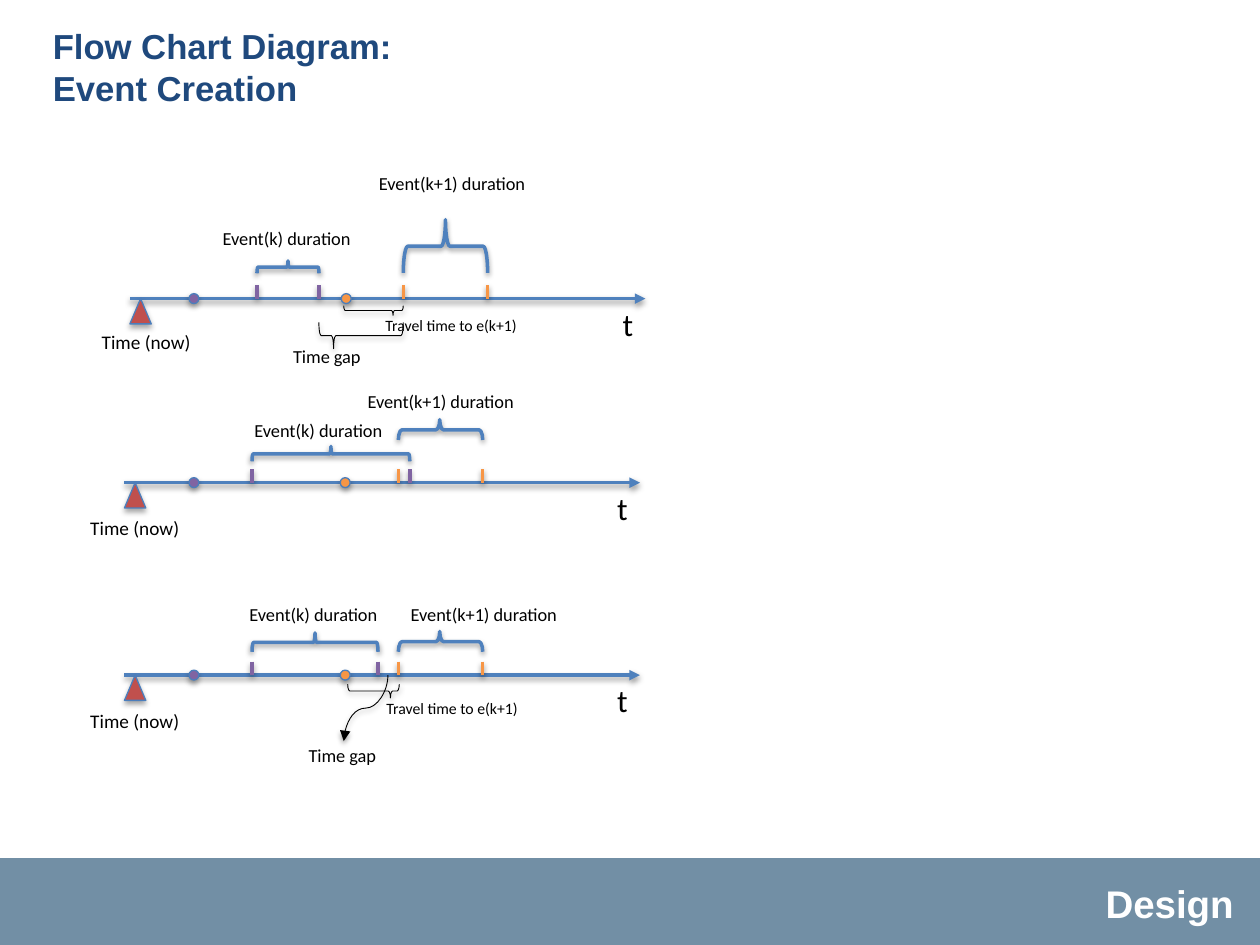
from dataclasses import dataclass

from lxml.etree import SubElement
from pptx import Presentation
from pptx.dml.color import RGBColor
from pptx.enum.shapes import MSO_CONNECTOR, MSO_SHAPE
from pptx.enum.text import MSO_ANCHOR, PP_ALIGN
from pptx.oxml.ns import qn
from pptx.util import Cm, Pt


@dataclass(frozen=True)
class Theme:
    title: str = "1F497D"
    band: str = "728FA5"
    white: str = "FFFFFF"
    ink: str = "000000"
    axis: str = "4F81BD"
    outline: str = "4B7EBC"
    now: str = "C0504D"
    event: str = "8064A2"
    next_event: str = "F79646"
    heading_font: str = "Arial"
    body_font: str = "Calibri"
    title_size: float = 19.8
    section_size: float = 22
    axis_size: float = 18
    now_size: float = 11
    label_size: float = 10.5
    small_size: float = 9
    heavy: float = 2
    thin: float = 0.75
    hairline: float = 0.5


THEME = Theme()
AXIS_LENGTH = 10.39
TICK_HEIGHT = 0.27
DOT_SIZE = 0.2
NOW_DOT_X = 3.91
NEXT_BRACE = (0.182, 0.51)
TRAVEL_BRACE = (0.155, 0.829)
GAP_BRACE = (0.083, 0.174)


@dataclass(frozen=True)
class Timeline:
    """One scenario; all lengths in centimetres."""
    x: float
    y: float
    now_label: tuple      # left, top
    event: tuple          # start, end
    next_event: tuple     # start, end
    departure: float      # centre of the orange dot
    event_brace: tuple    # top, height
    next_brace: tuple     # top, height, adjustments
    event_label: tuple    # left, top
    next_label: tuple     # left, top


TIMELINES = (
    Timeline(2.62, 6.02, (1.8, 6.53), (5.18, 6.43), (8.13, 9.83), 6.98,
             (5.26, 0.25), (4.43, 1.07, ()), (4.24, 4.45), (7.39, 3.35)),
    Timeline(2.51, 9.73, (1.57, 10.29), (5.08, 8.26), (8.03, 9.73), 6.96,
             (9.0, 0.3), (8.46, 0.41, NEXT_BRACE), (4.88, 8.33), (7.16, 7.75)),
    Timeline(2.51, 13.61, (1.57, 14.17), (5.08, 7.62), (8.03, 9.73), 6.96,
             (12.76, 0.38), (12.73, 0.41, NEXT_BRACE), (4.78, 12.04), (8.03, 12.04)),
)


def rgb(value):
    return RGBColor.from_string(value)


def cast_shadow(shape, opacity=38, distance=1.6):
    effects = SubElement(shape._element.spPr, qn("a:effectLst"))
    shadow = SubElement(effects, qn("a:outerShdw"), blurRad=str(Pt(3.1)),
                        dist=str(Pt(distance)), dir="5400000", rotWithShape="0")
    color = SubElement(shadow, qn("a:srgbClr"), val=THEME.ink)
    SubElement(color, qn("a:alpha"), val=str(opacity * 1000))


def style_text(frame, size, color, font, bold=False):
    for paragraph in frame.paragraphs:
        for run in paragraph.runs:
            run.font.size = Pt(size)
            run.font.name = font
            run.font.bold = bold
            run.font.color.rgb = rgb(color)


def add_label(slide, text, left, top, width, height=0.71, size=THEME.label_size):
    label = slide.shapes.add_textbox(Cm(left), Cm(top), Cm(width), Cm(height))
    label.text_frame.word_wrap = False
    label.text_frame.text = text
    style_text(label.text_frame, size, THEME.ink, THEME.body_font)


def add_line(slide, start, end, color, weight, arrow=False, kind=MSO_CONNECTOR.STRAIGHT):
    line = slide.shapes.add_connector(kind, *map(Cm, start + end))
    line.line.color.rgb = rgb(color)
    line.line.width = Pt(weight)
    if arrow:
        SubElement(line.line._ln, qn("a:tailEnd"), type="triangle")
    cast_shadow(line)
    return line


def add_marker(slide, shape_type, left, top, width, height, color):
    marker = slide.shapes.add_shape(shape_type, Cm(left), Cm(top), Cm(width), Cm(height))
    marker.fill.solid()
    marker.fill.fore_color.rgb = rgb(color)
    marker.line.color.rgb = rgb(THEME.outline)
    marker.line.width = Pt(THEME.thin)
    cast_shadow(marker, 35, 1.8)


def add_dot(slide, center_x, center_y, color):
    add_marker(slide, MSO_SHAPE.OVAL, center_x - DOT_SIZE / 2, center_y - DOT_SIZE / 2,
               DOT_SIZE, DOT_SIZE, color)


def add_brace(slide, span, top, height, adjustments=(), below=False):
    """Turn a left brace so that it covers the span, pointing up or down."""
    start, end = span
    width = end - start
    brace = slide.shapes.add_shape(
        MSO_SHAPE.LEFT_BRACE, Cm((start + end - height) / 2),
        Cm(top + (height - width) / 2), Cm(height), Cm(width))
    brace.rotation = 270 if below else 90
    for index, value in enumerate(adjustments):
        brace.adjustments[index] = value
    brace.fill.background()
    brace.line.color.rgb = rgb(THEME.ink if below else THEME.axis)
    brace.line.width = Pt(THEME.hairline if below else THEME.heavy)
    cast_shadow(brace)


def add_drop_curve(slide, start, end):
    """Draw a curved arrow that leaves and arrives vertically."""
    center_x, center_y = (start[0] + end[0]) / 2, (start[1] + end[1]) / 2
    half_run, half_rise = (end[1] - start[1]) / 2, (start[0] - end[0]) / 2
    curve = add_line(slide, (center_x - half_run, center_y - half_rise),
                     (center_x + half_run, center_y + half_rise),
                     THEME.ink, THEME.hairline, True, MSO_CONNECTOR.CURVE)
    curve._element.spPr.find(qn("a:xfrm")).set("rot", "5400000")


def add_timeline(slide, line):
    # Axis and present time
    add_label(slide, "t", line.x + 9.68, line.y, 0.74, 1.02, THEME.axis_size)
    add_line(slide, (line.x, line.y), (line.x + AXIS_LENGTH, line.y),
             THEME.axis, THEME.heavy, True)
    add_marker(slide, MSO_SHAPE.ISOSCELES_TRIANGLE, line.x, line.y, 0.43, 0.51, THEME.now)
    add_label(slide, "Time (now)", *line.now_label, 2.31, 0.74, THEME.now_size)

    # Event limits
    for span, color in ((line.event, THEME.event), (line.next_event, THEME.next_event)):
        for x in span:
            add_line(slide, (x, line.y - TICK_HEIGHT), (x, line.y), color, THEME.heavy)
    add_dot(slide, NOW_DOT_X, line.y, THEME.event)
    add_dot(slide, line.departure, line.y, THEME.next_event)

    # Durations
    add_brace(slide, line.event, *line.event_brace)
    add_brace(slide, line.next_event, *line.next_brace)
    add_label(slide, "Event(k) duration", *line.event_label, 3.15)
    add_label(slide, "Event(k+1) duration", *line.next_label, 3.53)


def add_travel(slide, span, top, height, label_left, label_top):
    add_brace(slide, span, top, height, TRAVEL_BRACE, below=True)
    add_label(slide, "Travel time to e(k+1)", label_left, label_top, 3.23, 0.64,
              THEME.small_size)


def add_frame(slide):
    # Title
    title = slide.shapes.title
    title.left, title.top, title.width, title.height = map(Cm, (0.81, 0.38, 23.83, 2.34))
    title.text_frame.text = "Flow Chart Diagram:\vEvent Creation"
    title.text_frame.vertical_anchor = MSO_ANCHOR.TOP
    title.text_frame.paragraphs[0].alignment = PP_ALIGN.LEFT
    style_text(title.text_frame, THEME.title_size, THEME.title, THEME.heading_font, True)

    # Footer band and section name
    band = slide.shapes.add_shape(MSO_SHAPE.RECTANGLE, 0, Cm(17.3), Cm(25.4), Cm(1.75))
    band.shadow.inherit = False
    band.fill.solid()
    band.fill.fore_color.rgb = rgb(THEME.band)
    band.line.fill.background()
    section = slide.shapes.add_textbox(Cm(0.81), Cm(17.58), Cm(24.31), Cm(1.24))
    section.text_frame.word_wrap = True
    section.text_frame.vertical_anchor = MSO_ANCHOR.MIDDLE
    section.text_frame.text = "Design"
    section.text_frame.paragraphs[0].alignment = PP_ALIGN.RIGHT
    style_text(section.text_frame, THEME.section_size, THEME.white, THEME.heading_font, True)


def main():
    deck = Presentation()
    deck.slide_width, deck.slide_height = Cm(25.4), Cm(19.05)
    slide = deck.slides.add_slide(deck.slide_layouts[5])
    add_frame(slide)
    for line in TIMELINES:
        add_timeline(slide, line)

    # Travel times and gaps between events
    add_travel(slide, (6.93, 8.13), 6.16, 0.2, 7.52, 6.25)
    add_brace(slide, (6.43, 8.13), 6.5, 0.53, GAP_BRACE, below=True)
    add_label(slide, "Time gap", 5.66, 6.83, 1.96)
    add_travel(slide, (7.01, 8.05), 13.79, 0.28, 7.54, 13.97)
    add_drop_curve(slide, (7.82, 13.61), (6.93, 14.94))
    add_label(slide, "Time gap", 5.97, 14.88, 1.96)
    deck.save("out.pptx")


if __name__ == "__main__":
    main()
